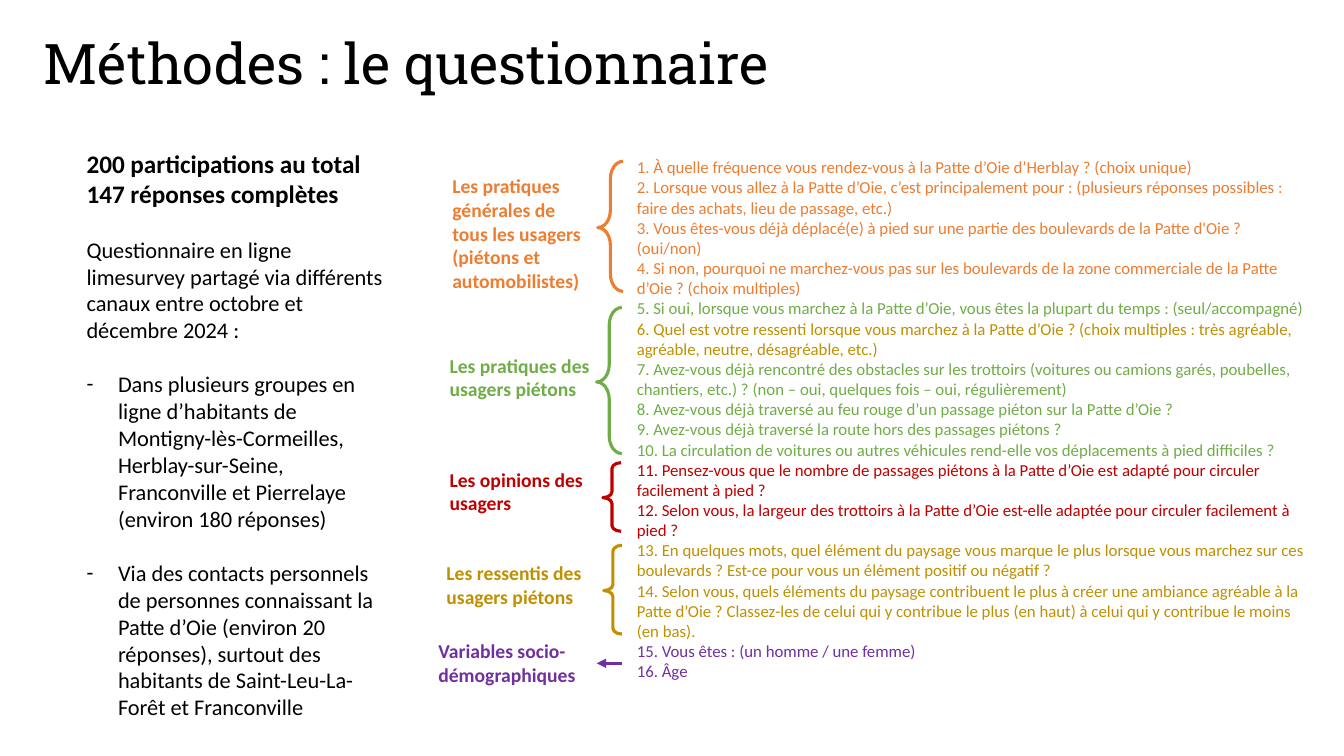
from lxml.etree import SubElement
from pptx import Presentation
from pptx.dml.color import RGBColor
from pptx.enum.shapes import MSO_CONNECTOR, MSO_SHAPE
from pptx.enum.text import MSO_ANCHOR
from pptx.oxml.ns import qn
from pptx.util import Pt

BLACK = RGBColor(0x00, 0x00, 0x00)
ORANGE = RGBColor(0xED, 0x7D, 0x31)
GREEN = RGBColor(0x70, 0xAD, 0x47)
RED = RGBColor(0xC0, 0x00, 0x00)
GOLD = RGBColor(0xBF, 0x90, 0x00)
PURPLE = RGBColor(0x70, 0x30, 0xA0)

LINE_WIDTH = 2.25
BLANK_LINE = 19.5  # height of one 16 pt line

QUESTIONS = [
    ("1. À quelle fréquence vous rendez-vous à la Patte d’Oie d’Herblay ? (choix unique)", ORANGE),
    ("2. Lorsque vous allez à la Patte d’Oie, c’est principalement pour : (plusieurs réponses "
     "possibles : faire des achats, lieu de passage, etc.)", ORANGE),
    ("3. Vous êtes-vous déjà déplacé(e) à pied sur une partie des boulevards de la Patte d'Oie ? "
     "(oui/non)", ORANGE),
    ("4. Si non, pourquoi ne marchez-vous pas sur les boulevards de la zone commerciale de la "
     "Patte d’Oie ? (choix multiples)", ORANGE),
    ("5. Si oui, lorsque vous marchez à la Patte d’Oie, vous êtes la plupart du temps : "
     "(seul/accompagné)", GREEN),
    ("6. Quel est votre ressenti lorsque vous marchez à la Patte d’Oie ? (choix multiples : très "
     "agréable, agréable, neutre, désagréable, etc.)", GOLD),
    ("7. Avez-vous déjà rencontré des obstacles sur les trottoirs (voitures ou camions garés, "
     "poubelles, chantiers, etc.) ? (non – oui, quelques fois – oui, régulièrement)", GREEN),
    ("8. Avez-vous déjà traversé au feu rouge d’un passage piéton sur la Patte d’Oie ?", GREEN),
    ("9. Avez-vous déjà traversé la route hors des passages piétons ?", GREEN),
    ("10. La circulation de voitures ou autres véhicules rend-elle vos déplacements à pied "
     "difficiles ?", GREEN),
    ("11. Pensez-vous que le nombre de passages piétons à la Patte d’Oie est adapté pour circuler "
     "facilement à pied ?", RED),
    ("12. Selon vous, la largeur des trottoirs à la Patte d’Oie est-elle adaptée pour circuler "
     "facilement à pied ?", RED),
    ("13. En quelques mots, quel élément du paysage vous marque le plus lorsque vous marchez sur "
     "ces boulevards ? Est-ce pour vous un élément positif ou négatif ?", GOLD),
    ("14. Selon vous, quels éléments du paysage contribuent le plus à créer une ambiance agréable "
     "à la Patte d’Oie ? Classez-les de celui qui y contribue le plus (en haut) à celui qui y "
     "contribue le moins (en bas).", GOLD),
    ("15. Vous êtes : (un homme / une femme)", PURPLE),
    ("16. Âge", PURPLE),
]

# Label, colour, label box, brace box and brace curvature, relative to the region
THEMES = [
    ("Les pratiques générales de tous les usagers (piétons et automobilistes)", ORANGE,
     (10, 13, 107.3, 92), (121, 7.2, 18, 92.9), 0.69),
    ("Les pratiques des usagers piétons", GREEN,
     (8, 141.1, 114.5, 41), (120.2, 111.6, 18, 104.4), 0.69),
    ("Les opinions des usagers", RED,
     (8, 222.5, 116.6, 41), (124.6, 222.5, 13, 49), 0.32),
    ("Les ressentis des usagers piétons", GOLD,
     (5.8, 289.4, 116.6, 41), (125.3, 281.5, 13, 63.4), 0.32),
]


def add_box(s, x, y, w, h):
    tf = s.shapes.add_textbox(Pt(x), Pt(y), Pt(w), Pt(h)).text_frame
    tf.word_wrap = True
    return tf


def add_text(tf, text, size=12, color=BLACK, bold=False, font="Calibri", before=0, dash=False):
    p = tf.paragraphs[0]
    if p.runs:
        p = tf.add_paragraph()
    if dash:
        pPr = p._p.get_or_add_pPr()
        pPr.set("marL", str(Pt(22.5)))
        pPr.set("indent", str(-Pt(22.5)))
        SubElement(pPr, qn("a:buFont")).set("typeface", "Calibri")
        SubElement(pPr, qn("a:buChar")).set("char", "-")
    if before:
        p.space_before = Pt(before)
    r = p.add_run()
    r.text = text
    r.font.name = font
    r.font.size = Pt(size)
    r.font.bold = bold
    r.font.color.rgb = color
    return p


def add_title(s, x, y, w, h):
    tf = add_box(s, x, y, w, h)
    tf.vertical_anchor = MSO_ANCHOR.MIDDLE
    p = add_text(tf, "Méthodes : le questionnaire", size=40, font="Roboto Slab")
    p.line_spacing = 0.9


def add_summary(s, x, y, w, h):
    tf = add_box(s, x, y, w, h)
    for total in ("200 participations au total", "147 réponses complètes"):
        add_text(tf, total, size=18, bold=True)
    add_text(tf, "Questionnaire en ligne limesurvey partagé via différents canaux entre octobre "
             "et décembre 2024 :", size=16, before=BLANK_LINE)
    for channel in (
        "Dans plusieurs groupes en ligne d’habitants de Montigny-lès-Cormeilles, "
        "Herblay-sur-Seine, Franconville et Pierrelaye (environ 180 réponses)",
        "Via des contacts personnels de personnes connaissant la Patte d’Oie (environ 20 "
        "réponses), surtout des habitants de Saint-Leu-La-Forêt et Franconville",
    ):
        add_text(tf, channel, size=16, before=BLANK_LINE, dash=True)


def add_questions(s, x, y, w, h):
    tf = add_box(s, x, y, w, h)
    for question, color in QUESTIONS:
        add_text(tf, question, color=color)


def add_label(s, x, y, box, text, color):
    dx, dy, w, h = box
    add_text(add_box(s, x + dx, y + dy, w, h), text, size=14, color=color, bold=True)


def add_themes(s, x, y):
    # Braced themes
    for text, color, label, (dx, dy, w, h), curve in THEMES:
        add_label(s, x, y, label, text, color)
        brace = s.shapes.add_shape(MSO_SHAPE.LEFT_BRACE, Pt(x + dx), Pt(y + dy), Pt(w), Pt(h))
        brace.adjustments[0] = curve
        brace.adjustments[1] = 0.51
        brace.shadow.inherit = False
        brace.fill.background()
        brace.line.color.rgb = color
        brace.line.width = Pt(LINE_WIDTH)

    # Last theme, with an arrow
    add_label(s, x, y, (0, 344.9, 116.6, 41), "Variables socio-démographiques", PURPLE)
    arrow_y = Pt(y + 365.8)
    arrow = s.shapes.add_connector(
        MSO_CONNECTOR.STRAIGHT, Pt(x + 138.2), arrow_y, Pt(x + 120.2), arrow_y)
    arrow.line.color.rgb = PURPLE
    arrow.line.width = Pt(LINE_WIDTH)
    SubElement(arrow.line._get_or_add_ln(), qn("a:tailEnd")).set("type", "triangle")
    SubElement(arrow._element.spPr, qn("a:effectLst"))


def main():
    prs = Presentation()
    prs.slide_width, prs.slide_height = Pt(960), Pt(540)
    s = prs.slides.add_slide(prs.slide_layouts[6])
    add_title(s, 23.8, 19.4, 828, 55.4)
    add_summary(s, 54.7, 102.2, 231.8, 438.5)
    add_questions(s, 447.8, 108.6, 494.6, 399.7)
    add_themes(s, 306, 108)
    prs.save("out.pptx")


if __name__ == "__main__":
    main()
